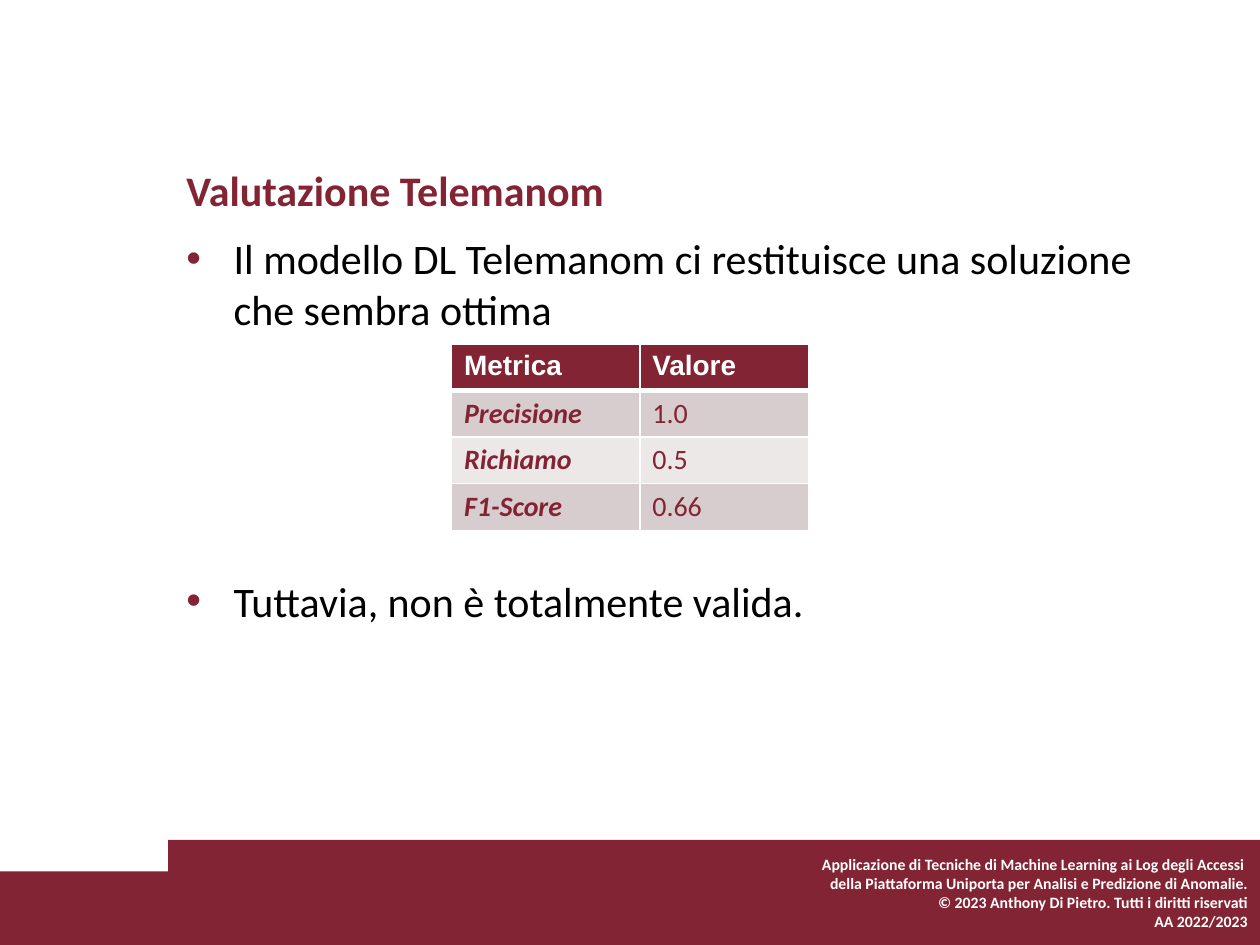
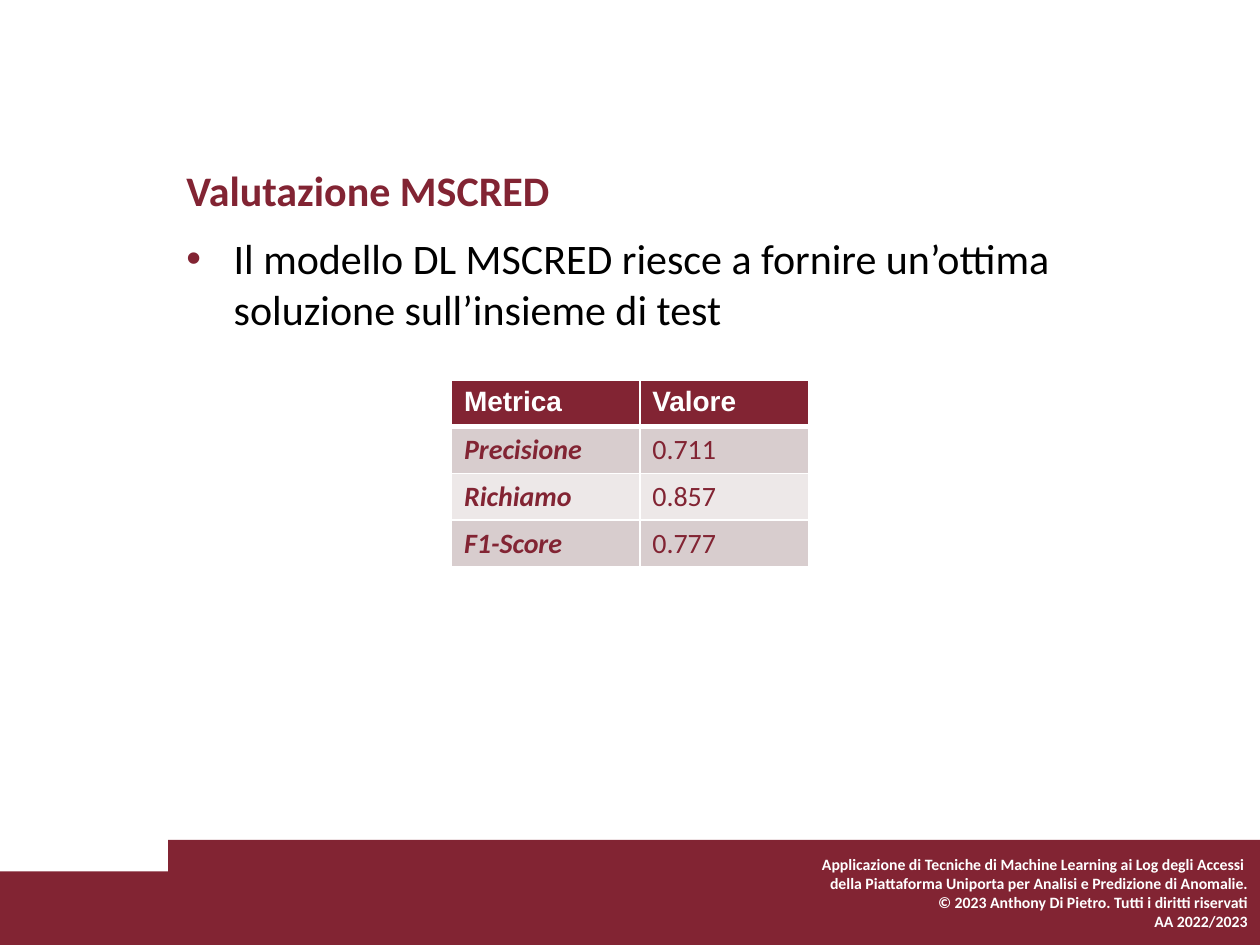
from lxml import etree
from pptx import Presentation
from pptx.dml.color import RGBColor
from pptx.enum import shapes, text
from pptx.oxml import ns
from pptx.util import Pt

SLIDES = [
    {
        "title": "Valutazione Telemanom",
        "bullets": [
            "Il modello DL Telemanom ci restituisce una soluzione che sembra ottima",
            "Tuttavia, non è totalmente valida.",
        ],
        "metrics": [("Precisione", "1.0"), ("Richiamo", "0.5"), ("F1-Score", "0.66")],
        "table_top": 196.6,
    },
    {
        "title": "Valutazione MSCRED",
        "bullets": [
            "Il modello DL MSCRED riesce a fornire un’ottima soluzione sull’insieme di test",
        ],
        "metrics": [("Precisione", "0.711"), ("Richiamo", "0.857"), ("F1-Score", "0.777")],
        "table_top": 217.4,
    },
]
HEADER = ("Metrica", "Valore")
FOOTER = [
    "Applicazione di Tecniche di Machine Learning ai Log degli Accessi ",
    "della Piattaforma Uniporta per Analisi e Predizione di Anomalie.",
    "© 2023 Anthony Di Pietro. Tutti i diritti riservati",
    "AA 2022/2023",
]

MAROON = RGBColor(0x82, 0x24, 0x33)
WHITE = RGBColor(0xFF, 0xFF, 0xFF)
BLACK = RGBColor(0, 0, 0)
BAND_FILLS = (RGBColor(0xD8, 0xCD, 0xCE), RGBColor(0xED, 0xE8, 0xE8))

WIDTH, HEIGHT = 720, 540
TEXT_LEFT, TEXT_WIDTH = 99.4, 584
COLUMN_WIDTHS = (107.6, 96.4)
HEADER_HEIGHT, ROW_HEIGHT = 25.6, 26.7
TABLE_GAP = 138  # room left for the table between two bullets
INDENT = 27

TITLE_FONT = {"name": "Calibri", "size": Pt(24), "bold": True}
BODY_FONT = {"name": "Calibri", "size": Pt(24), "bold": False}
FOOTER_FONT = {"name": "Calibri", "size": Pt(9), "bold": True}
HEADER_FONT = {"name": "Arial", "size": Pt(16), "bold": True}
METRIC_FONT = {"name": "Calibri", "size": Pt(16), "bold": True, "italic": True}
VALUE_FONT = {"name": "Calibri", "size": Pt(16), "bold": False}


def write(para, words, style, color):
    span = para.add_run()
    span.text = words
    for name, value in style.items():
        setattr(span.font, name, value)
    span.font.color.rgb = color


def paragraphs(frame, count):
    """Return the frame's paragraphs after extending them to count."""
    while len(frame.paragraphs) < count:
        frame.add_paragraph()
    return frame.paragraphs


def add_band(page, left, top):
    """Add a maroon block reaching the right and bottom slide edges."""
    band = page.shapes.add_shape(shapes.MSO_SHAPE.RECTANGLE, Pt(left), Pt(top),
                                 Pt(WIDTH - left), Pt(HEIGHT - top))
    band.shadow.inherit = False
    band.fill.solid()
    band.fill.fore_color.rgb = MAROON
    band.line.fill.background()
    return band


def add_footer(page):
    add_band(page, 0, 498)
    frame = add_band(page, 96, 480).text_frame
    frame.vertical_anchor = text.MSO_ANCHOR.MIDDLE
    for para, line in zip(paragraphs(frame, len(FOOTER)), FOOTER):
        para.alignment = text.PP_ALIGN.RIGHT
        write(para, line, FOOTER_FONT, WHITE)


def add_text_frame(page, top, height):
    box = page.shapes.add_textbox(Pt(TEXT_LEFT), Pt(top), Pt(TEXT_WIDTH), Pt(height))
    box.text_frame.word_wrap = True
    return box.text_frame


def add_title(page, title):
    frame = add_text_frame(page, 88.6, 39.6)
    frame.vertical_anchor = text.MSO_ANCHOR.MIDDLE
    write(frame.paragraphs[0], title, TITLE_FONT, MAROON)


def set_bullet(para):
    props = para._p.get_or_add_pPr()
    props.set("marL", str(Pt(INDENT)))
    props.set("indent", str(-Pt(INDENT)))
    color = etree.SubElement(props, ns.qn("a:buClr"))
    etree.SubElement(color, ns.qn("a:srgbClr"), val=str(MAROON))
    etree.SubElement(props, ns.qn("a:buFont"), typeface="Arial")
    etree.SubElement(props, ns.qn("a:buChar"), char="•")


def add_bullets(page, bullets):
    frame = add_text_frame(page, 129.6, 324)
    for number, para in enumerate(paragraphs(frame, len(bullets))):
        para.space_before = Pt(TABLE_GAP if number else 0)
        set_bullet(para)
        write(para, bullets[number], BODY_FONT, BLACK)


def set_borders(cell, **widths):
    props = cell._tc.get_or_add_tcPr()
    for position, side in enumerate("LRTB"):
        line = etree.Element(ns.qn("a:ln" + side), w=str(Pt(widths.get(side, 1))))
        fill = etree.SubElement(line, ns.qn("a:solidFill"))
        etree.SubElement(fill, ns.qn("a:srgbClr"), val=str(WHITE))
        props.insert(position, line)


def add_metrics(page, metrics, top):
    rows = [HEADER, *metrics]
    width = sum(COLUMN_WIDTHS)
    height = HEADER_HEIGHT + ROW_HEIGHT * len(metrics)
    table = page.shapes.add_table(len(rows), len(HEADER), Pt((WIDTH - width) / 2),
                                  Pt(top), Pt(width), Pt(height)).table
    table.horz_banding = False
    for column, column_width in zip(table.columns, COLUMN_WIDTHS):
        column.width = Pt(column_width)
    for r, row in enumerate(rows):
        table.rows[r].height = Pt(ROW_HEIGHT if r else HEADER_HEIGHT)
        for c, words in enumerate(row):
            cell = table.cell(r, c)
            cell.fill.solid()
            cell.fill.fore_color.rgb = BAND_FILLS[(r - 1) % 2] if r else MAROON
            set_borders(cell, **({"B": 3} if r == 0 else {"T": 3} if r == 1 else {}))
            style = (METRIC_FONT, VALUE_FONT)[c] if r else HEADER_FONT
            write(cell.text_frame.paragraphs[0], words, style, MAROON if r else WHITE)


def main():
    deck = Presentation()
    deck.slide_width, deck.slide_height = Pt(WIDTH), Pt(HEIGHT)
    for content in SLIDES:
        page = deck.slides.add_slide(deck.slide_layouts[6])
        add_footer(page)
        add_title(page, content["title"])
        add_bullets(page, content["bullets"])
        add_metrics(page, content["metrics"], content["table_top"])
    deck.save("out.pptx")


if __name__ == "__main__":
    main()
